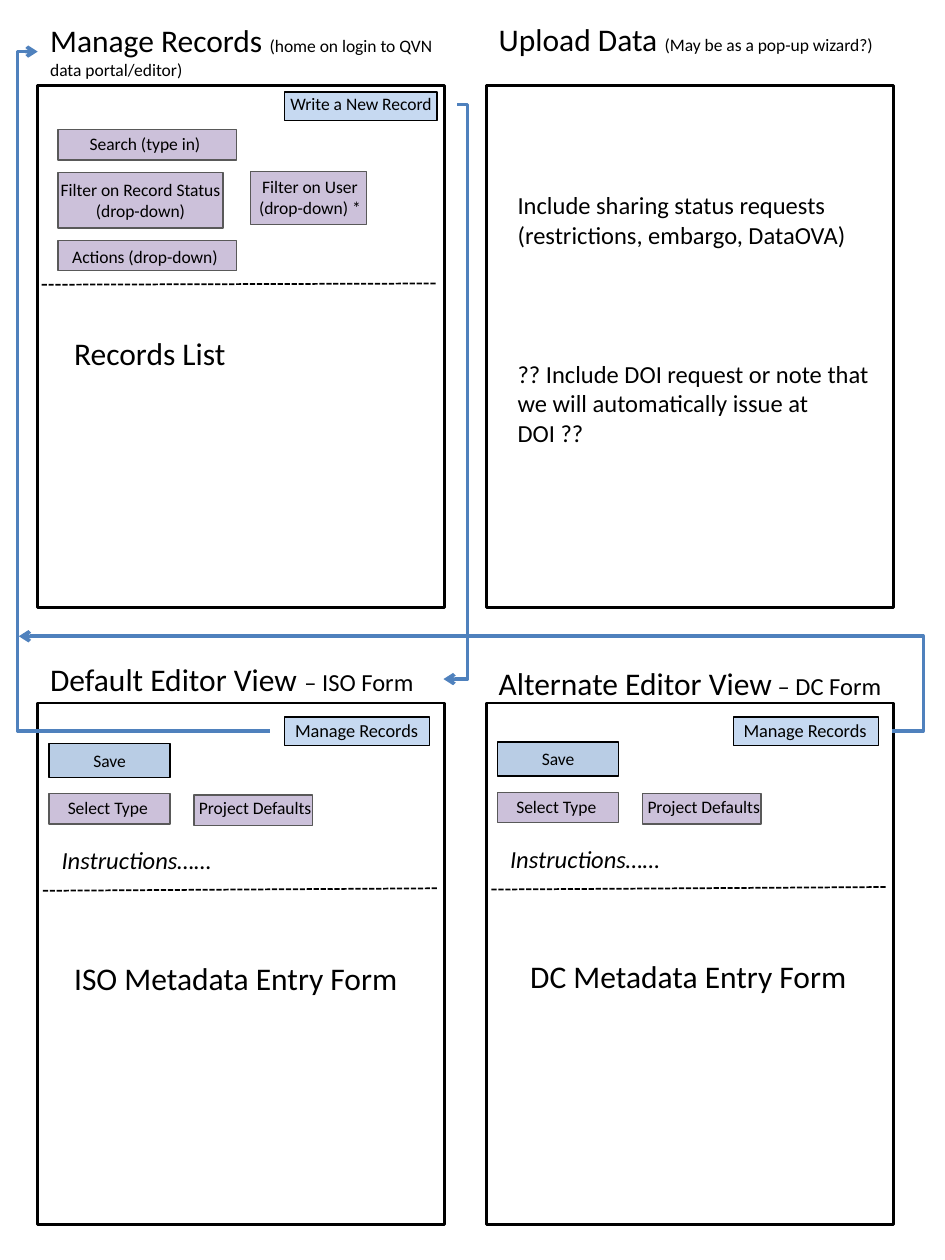
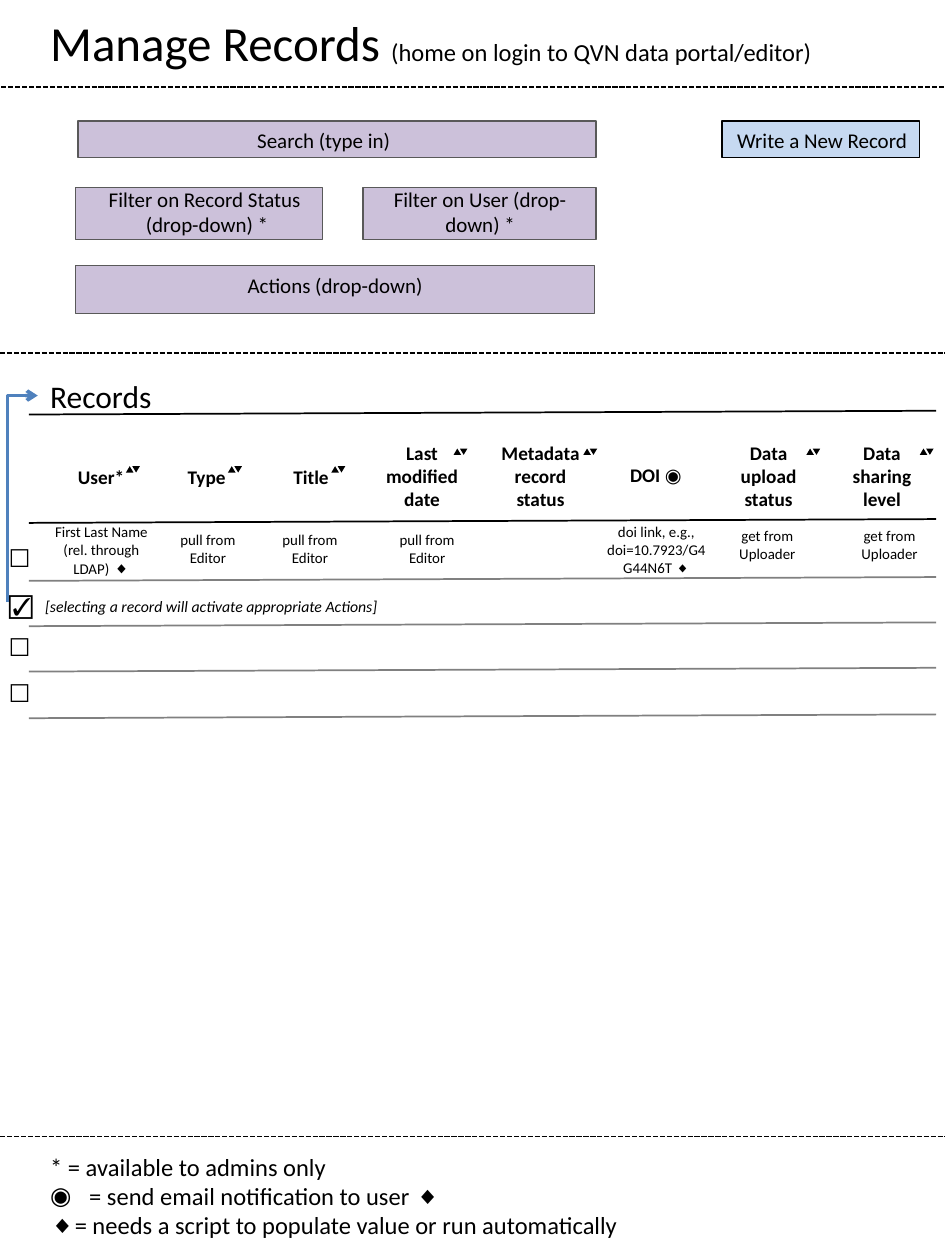
"""Build two wireframe slides for a metadata record manager."""
from typing import NamedTuple

from lxml.etree import SubElement
from pptx import Presentation
from pptx.dml.color import RGBColor
from pptx.enum.dml import MSO_LINE
from pptx.enum.shapes import MSO_CONNECTOR, MSO_SHAPE
from pptx.enum.text import MSO_ANCHOR, MSO_AUTO_SIZE, PP_ALIGN
from pptx.oxml.ns import qn
from pptx.util import Cm, Pt

COLOURS = {
    "ink": "000000",
    "rule": "808080",
    "arrow": "4F81BD",
    "link": "C6D9F1",
    "save": "B9CDE5",
    "control": "CCC1DA",
    "control_line": "595959",
}
COLUMN_STEP = 3.56
HOME_NOTE = "(home on login to QVN data portal/editor)"


class Run(NamedTuple):
    text: str
    size: float
    font: str = "Calibri"
    bold: bool = False
    italic: bool = False


def length(inches):
    return Cm(inches * 2.54)


def lengths(values):
    return [length(value) for value in values]


def colour(name):
    return RGBColor.from_string(COLOURS[name])


def write_text(shape, paragraphs, centred=False):
    frame = shape.text_frame
    frame.vertical_anchor = MSO_ANCHOR.TOP
    for index, runs in enumerate(paragraphs):
        paragraph = frame.add_paragraph() if index else frame.paragraphs[0]
        paragraph.alignment = PP_ALIGN.CENTER if centred else PP_ALIGN.LEFT
        for item in runs:
            run = paragraph.add_run()
            run.text = item.text
            run.font.size = Pt(item.size)
            run.font.name = item.font
            run.font.bold = item.bold
            run.font.italic = item.italic
            run.font.color.rgb = colour("ink")


def add_text(shapes, box, *paragraphs, centred=False, wrap=True):
    shape = shapes.add_textbox(*lengths(box))
    shape.text_frame.word_wrap = wrap
    shape.text_frame.auto_size = MSO_AUTO_SIZE.SHAPE_TO_FIT_TEXT
    write_text(shape, paragraphs, centred)
    return shape


def add_box(shapes, box, fill=None, line="ink", width=0.75, kind=MSO_SHAPE.RECTANGLE):
    shape = shapes.add_shape(kind, *lengths(box))
    shape.shadow.inherit = False
    if fill:
        shape.fill.solid()
        shape.fill.fore_color.rgb = colour(fill)
    else:
        shape.fill.background()
    if line:
        shape.line.color.rgb = colour(line)
        shape.line.width = Pt(width)
    else:
        shape.line.fill.background()
    return shape


def add_button(slide, box, label_box, labels, size=10, fill="control"):
    """Group a filled box with its centred label."""
    group = slide.shapes.add_group_shape().shapes
    add_box(group, box, fill, "control_line" if fill == "control" else "ink")
    paragraphs = [[Run(label, size)] for label in labels]
    add_text(group, label_box, *paragraphs, centred=True)


def add_line(slide, start, end, name="ink", width=1, kind=MSO_CONNECTOR.STRAIGHT):
    connector = slide.shapes.add_connector(kind, *lengths(start + end))
    connector.line.color.rgb = colour(name)
    connector.line.width = Pt(width)
    SubElement(connector.element.spPr, qn("a:effectLst"))
    return connector


def add_divider(slide, start, end):
    add_line(slide, start, end).line.dash_style = MSO_LINE.SQUARE_DOT


def add_elbow_arrow(slide, start, end, turn):
    """Draw an arrow whose vertical stretch lies at the turn position."""
    connector = add_line(slide, start, end, "arrow", 2, MSO_CONNECTOR.ELBOW)
    properties = connector.element.spPr
    SubElement(properties.find(qn("a:ln")), qn("a:tailEnd"), type="arrow")
    geometry = properties.find(qn("a:prstGeom"))
    guides = geometry.find(qn("a:avLst"))
    if guides is None:
        guides = SubElement(geometry, qn("a:avLst"))
    ratio = (turn - start[0]) / (end[0] - start[0])
    SubElement(guides, qn("a:gd"), name="adj1", fmla=f"val {round(ratio * 100000)}")


def add_sort_mark(slide, left, top):
    group = slide.shapes.add_group_shape().shapes
    for offset, rotation in ((0, 0), (0.05, 180)):
        box = (left + offset, top, 0.06, 0.05)
        mark = add_box(group, box, "ink", None, kind=MSO_SHAPE.ISOSCELES_TRIANGLE)
        mark.rotation = rotation


def add_editor(slide, shift, lift):
    """Draw the controls of one editor view, moved right and up."""
    def place(left, top, width, height):
        return left + shift, top - lift, width, height

    add_button(slide, (2.26 + shift, 5.69, 1.15, 0.23), (2.14 + shift, 5.66, 1.38, 0.28),
               ["Manage Records"], 10.5, "link")
    save = add_box(slide.shapes, place(0.39, 5.9, 0.96, 0.27), "save")
    save.text_frame.word_wrap = True
    write_text(save, [[Run("Save", 10)]], centred=True)
    add_button(slide, place(0.39, 6.3, 0.96, 0.24), place(0.34, 6.28, 1.03, 0.27),
               ["Select Type"])
    add_button(slide, place(1.54, 6.31, 0.94, 0.24), place(1.46, 6.28, 1.13, 0.27),
               ["Project Defaults"])
    add_text(slide.shapes, place(0.39, 6.66, 3.07, 0.34),
             [Run("Instructions……", 14, italic=True)])
    add_divider(slide, (0.34 + shift, 7.07 - lift), (3.47 + shift, 7.05 - lift))


def build_overview(slide):
    for left in (0.3, 0.3 + COLUMN_STEP):
        for top in (0.68, 5.58):
            add_box(slide.shapes, (left, top, 3.23, 4.14), width=1.5)
    titles = [
        ((0.3, 5.19, 3.23, 0.4), "Default Editor View ", "– ISO Form", 14),
        ((3.86, 5.22, 3.37, 0.4), "Alternate Editor View", " – DC Form", 14),
        ((0.3, 0.12, 3.23, 0.57), "Manage Records ", HOME_NOTE, 10),
        ((3.86, 0.11, 3.23, 0.4), "Upload Data ", "(May be as a pop-up wizard?)", 10),
    ]
    for box, title, note, note_size in titles:
        add_text(slide.shapes, box, [Run(title, 18), Run(note, note_size)])

    add_button(slide, (2.26, 0.73, 1.21, 0.23), (2.1, 0.69, 1.53, 0.27),
               ["Write a New Record"], fill="link")
    controls = [
        ((0.46, 1.03, 1.42, 0.24), (0.39, 1.01, 1.52, 0.27), ["Search (type in)"]),
        ((1.99, 1.36, 0.92, 0.42), (1.88, 1.35, 1.16, 0.44), ["Filter on User (drop-down) *"]),
        ((0.46, 1.91, 1.42, 0.24), (0.39, 1.9, 1.52, 0.27), ["Actions (drop-down)"]),
        ((0.46, 1.37, 1.31, 0.44), (0.33, 1.37, 1.57, 0.44),
         ["Filter on Record Status", " (drop-down) "]),
    ]
    for control in controls:
        add_button(slide, *control)
    add_divider(slide, (0.33, 2.26), (3.46, 2.25))

    add_editor(slide, 0, 0)
    add_editor(slide, COLUMN_STEP, 0.01)
    notes = [
        ((0.49, 2.6, 2.89, 0.4), "Records List", 18),
        ((0.49, 7.56, 2.89, 0.4), "ISO Metadata Entry Form", 18),
        ((4.11, 7.55, 2.83, 0.4), "DC Metadata Entry Form", 18),
        ((4.01, 1.46, 2.86, 0.57),
         "Include sharing status requests (restrictions, embargo, DataOVA)", 14),
        ((4.01, 2.8, 3, 0.81),
         "?? Include DOI request or note that we will automatically issue at DOI ??", 14),
    ]
    for box, text, size in notes:
        add_text(slide.shapes, box, [Run(text, size)])

    add_elbow_arrow(slide, (3.63, 0.83), (3.52, 5.39), 3.71)
    add_elbow_arrow(slide, (2.14, 5.8), (0.3, 0.41), 0.14)
    add_elbow_arrow(slide, (7.08, 5.8), (0.15, 5.05), 7.33)


def build_record_table(slide):
    """Draw the ruled list of records with its sortable headings."""
    for top, name in ((3.29, "ink"), (4.15, "ink"), (4.61, "rule"),
                      (4.97, "rule"), (5.33, "rule"), (5.7, "rule")):
        add_line(slide, (0.23, top), (7.43, top - 0.03), name)

    headings = [
        ((0.52, 3.64, 0.57, 0.29), "User*", False),
        ((1.39, 3.64, 0.73, 0.29), "Type", False),
        ((2.23, 3.64, 0.73, 0.29), "Title", False),
        ((2.95, 3.45, 0.8, 0.66), "Last modified date", True),
        ((3.85, 3.45, 0.88, 0.66), "Metadata record status", True),
        ((5.66, 3.45, 0.88, 0.66), "Data upload status", True),
        ((6.56, 3.45, 0.88, 0.66), "Data sharing level", True),
    ]
    for box, text, centred in headings:
        add_text(slide.shapes, box, [Run(text, 11, bold=True)], centred=centred)
    add_text(slide.shapes, (4.87, 3.63, 0.67, 0.29),
             [Run("DOI ", 11, bold=True), Run("◉", 11, "Arial")], centred=True)
    for left in (1, 1.81, 2.63):
        add_sort_mark(slide, left, 3.7)
    for left in (3.6, 4.63, 6.4, 7.3):
        add_sort_mark(slide, left, 3.56)

    add_text(slide.shapes, (0.32, 4.1, 0.97, 0.68),
             [Run("First Last Name (rel. through LDAP)", 8.5), Run(" ◆", 9, "Arial")],
             centred=True)
    add_text(slide.shapes, (4.71, 4.1, 1, 0.67),
             [Run("doi link, e.g., doi=10.7923/G4G44N6T ", 8.5), Run("◆", 8, "Arial")],
             centred=True)
    sources = [(1.29, 4.16, "pull from Editor"), (2.1, 4.16, "pull from Editor"),
               (3.03, 4.16, "pull from Editor"), (5.73, 4.13, "get from Uploader"),
               (6.7, 4.13, "get from Uploader")]
    for left, top, text in sources:
        add_text(slide.shapes, (left, top, 0.72, 0.53), [Run(text, 8.5)], centred=True)

    for top in (4.26, 4.97, 5.33):
        add_text(slide.shapes, (-0.03, top, 0.4, 0.34),
                 [Run("☐", 14, "Noto Sans CJK JP")], wrap=False)
    add_text(slide.shapes, (-0.03, 4.63, 0.38, 0.34), [Run("☑", 14, "Arial")], wrap=False)
    add_text(slide.shapes, (0.26, 4.69, 5.16, 0.25),
             [Run("[selecting a record will activate appropriate Actions]", 9, italic=True)])
    add_elbow_arrow(slide, (0.06, 4.78), (0.3, 3.14), 0.06)


def add_legend(slide):
    legend = add_text(
        slide.shapes, (0.3, 9.09, 6.95, 0.81),
        [Run("* = available to admins only ", 14)],
        [Run("= send email notification to user ", 14), Run("◆", 14, "Arial")],
        [Run("◆", 14, "Arial"),
         Run("= needs a script to populate value or run automatically", 14)],
    )
    properties = legend.text_frame.paragraphs[1]._p.get_or_add_pPr()
    properties.set("marL", str(length(0.31)))
    properties.set("indent", str(-length(0.31)))
    SubElement(properties, qn("a:buFont"), typeface="Arial")
    SubElement(properties, qn("a:buChar"), char="◉")


def build_records(slide):
    add_text(slide.shapes, (0.3, 0.05, 7.01, 0.57),
             [Run("Manage Records ", 28), Run(HOME_NOTE, 14)])
    for left, top in ((0.01, 0.69), (0, 2.8), (0, 9.02)):
        add_divider(slide, (left, top), (left + 7.5, top))
    add_button(slide, (5.73, 0.96, 1.57, 0.29), (5.53, 0.96, 1.99, 0.81),
               ["Write a New Record"], 12, "link")
    controls = [
        ((0.62, 0.96, 4.11, 0.29), (0.37, 0.96, 4.4, 0.3), ["Search (type in)"]),
        ((2.88, 1.49, 1.85, 0.41), (2.9, 1.43, 1.82, 0.71), ["Filter on User (drop-down) *"]),
        ((0.6, 2.11, 4.12, 0.38), (0.6, 2.11, 4.12, 0.48), ["Actions (drop-down)"]),
        ((0.6, 1.49, 1.96, 0.41), (0.37, 1.43, 2.51, 0.5),
         ["Filter on Record Status", " (drop-down) *"]),
    ]
    for box, label_box, labels in controls:
        add_button(slide, box, label_box, labels, 12)
    add_text(slide.shapes, (0.3, 2.94, 3.26, 0.4), [Run("Records", 18)])
    build_record_table(slide)
    add_legend(slide)


def main():
    presentation = Presentation()
    presentation.slide_width = length(7.5)
    presentation.slide_height = length(10)
    for build in (build_overview, build_records):
        build(presentation.slides.add_slide(presentation.slide_layouts[6]))
    presentation.save("out.pptx")


main()
